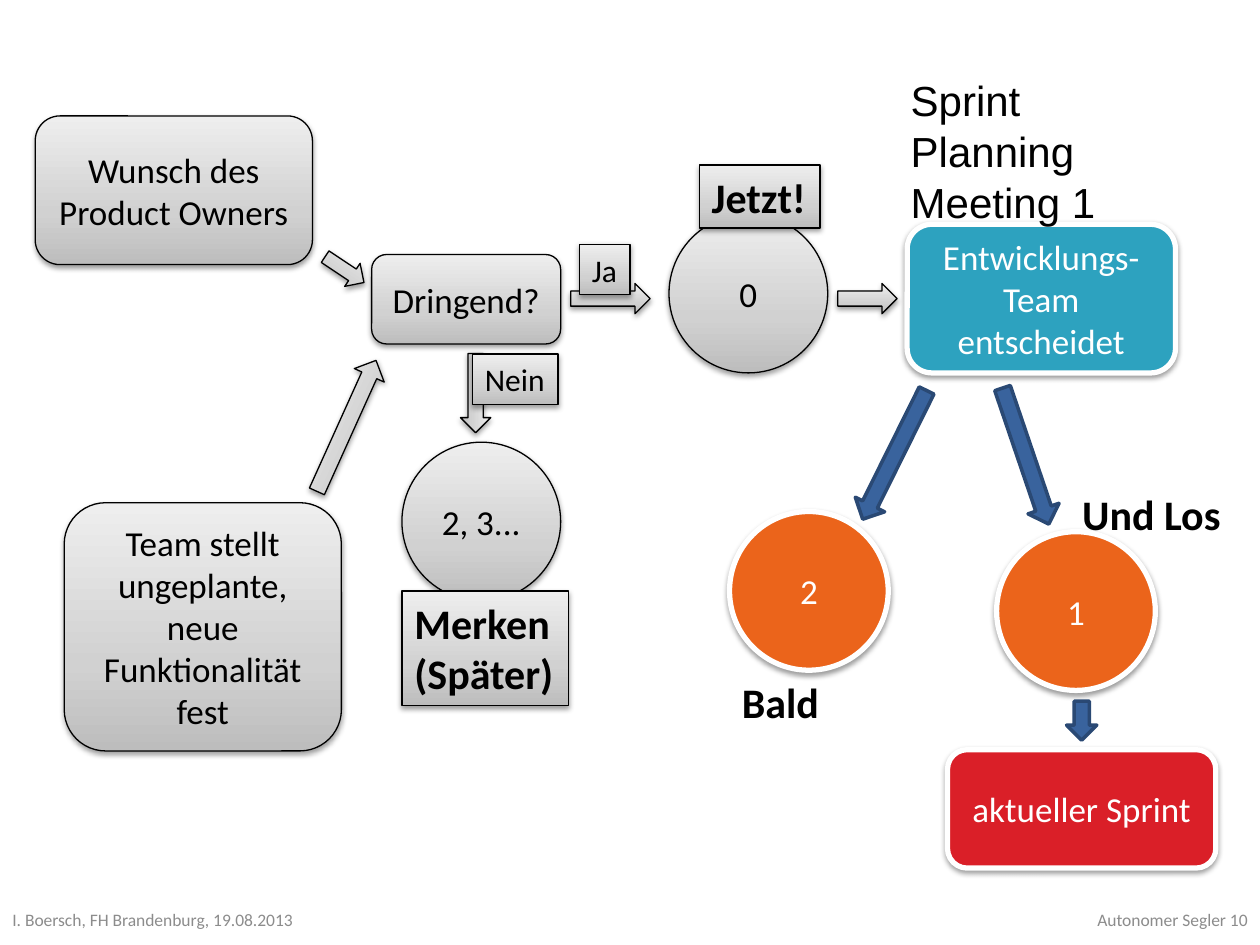
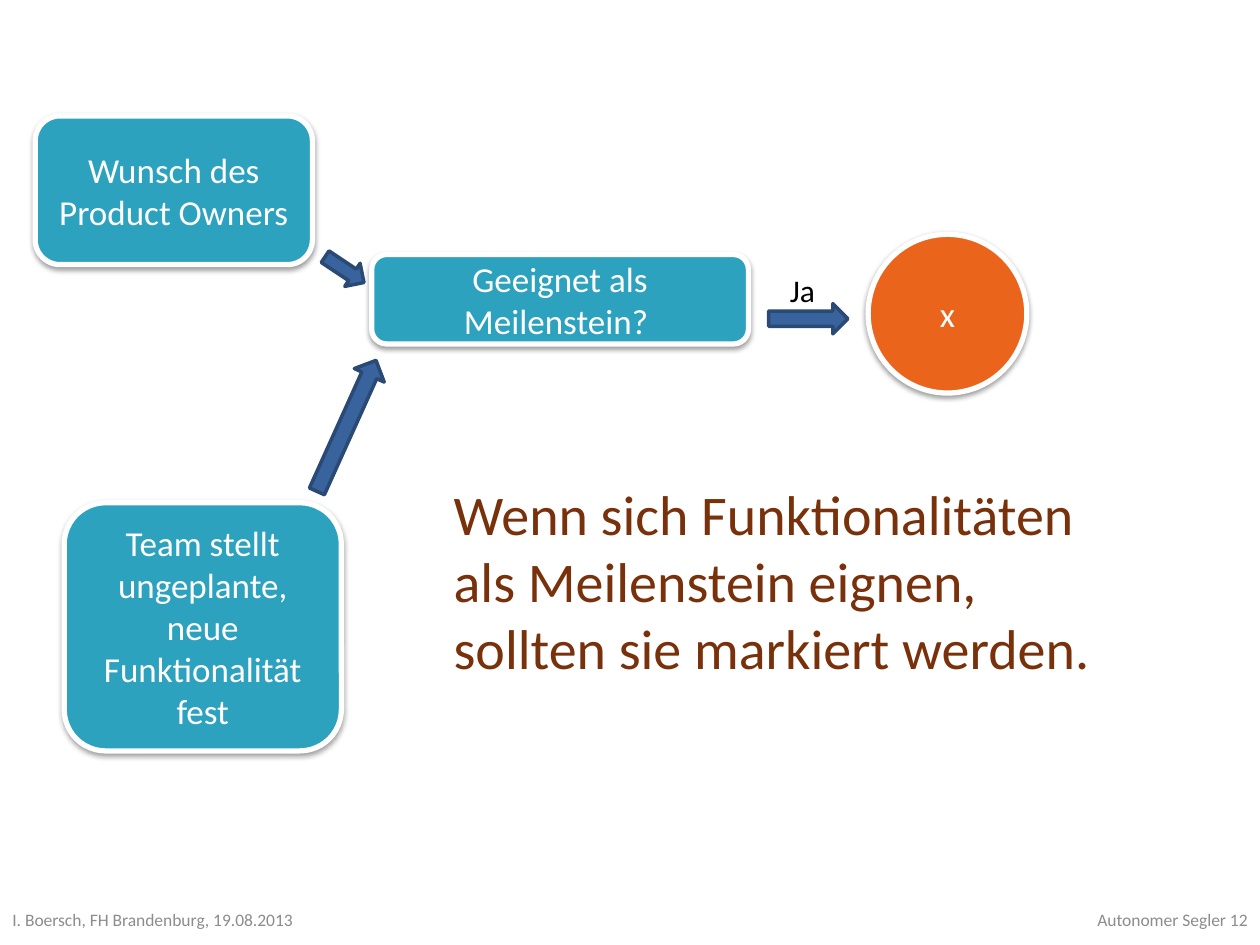
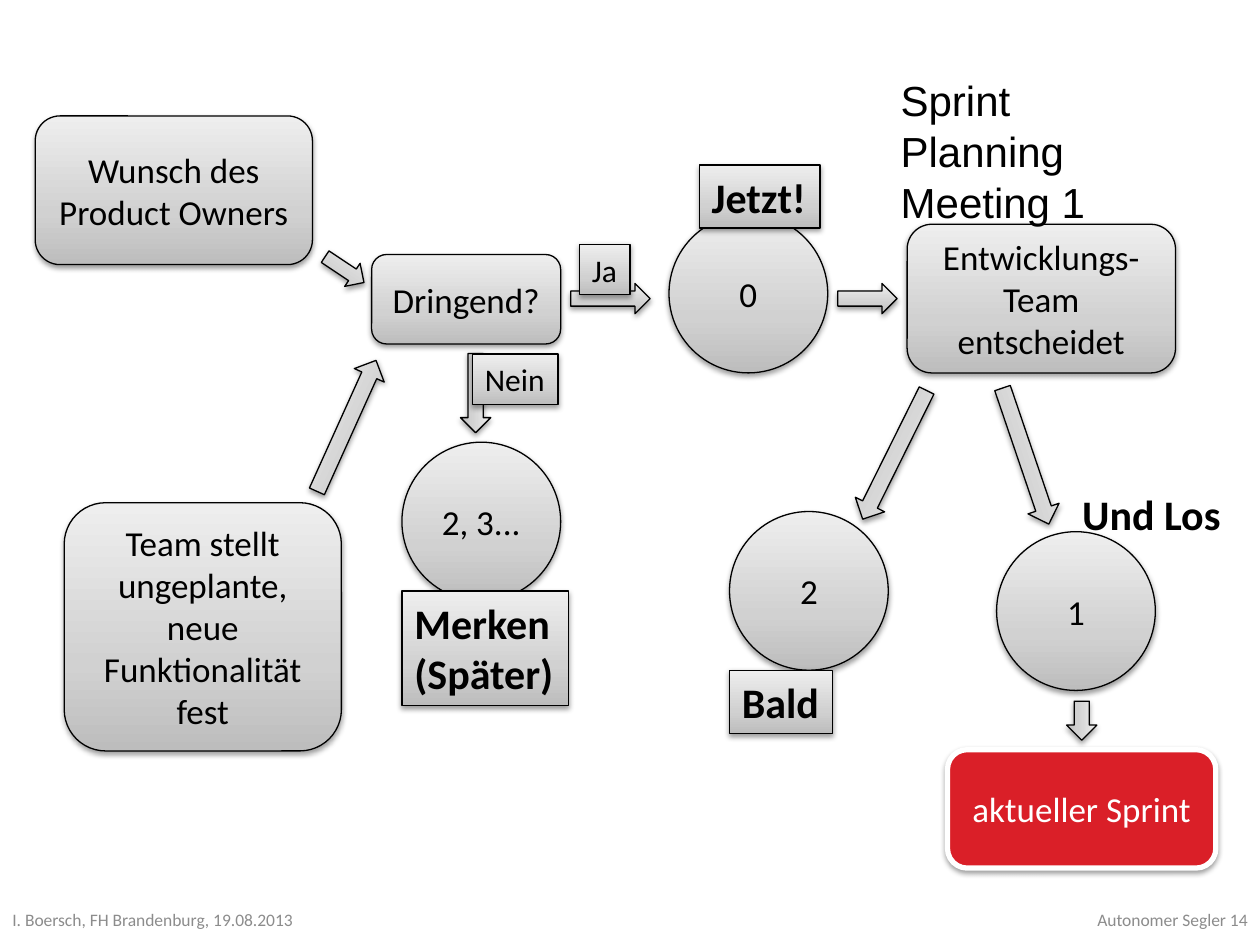
import copy
from dataclasses import dataclass, replace
from typing import Optional

import pptx
import pptx.dml.color
import pptx.enum.shapes
import pptx.enum.text
import pptx.oxml
import pptx.oxml.ns
import pptx.util

FORM = pptx.enum.shapes.MSO_SHAPE
ALIGN = pptx.enum.text.PP_ALIGN
ANCHOR = pptx.enum.text.MSO_ANCHOR
FIT = pptx.enum.text.MSO_AUTO_SIZE
Pt = pptx.util.Pt

# Grid: 100 columns by 75 rows
COLS, ROWS = 100, 75
WIDTH, HEIGHT = pptx.util.Inches(10), pptx.util.Inches(7.5)
Box = tuple[float, float, float, float]


@dataclass(frozen=True)
class Look:
    fill: Optional[str] = None  # None means the grey gradient
    line: str = "000000"
    width: float = 0.75
    ink: str = "000000"
    shadow: bool = True


@dataclass(frozen=True)
class Theme:
    font: str = "Calibri"
    plain: str = "Arial"
    ink: str = "000000"
    muted: str = "8C8C8C"
    brown: str = "78310B"
    foot: float = 10
    note: float = 18
    body: float = 20
    big: float = 24
    head: float = 32
    grey: tuple = ((0, "BDBDBD"), (0.35, "D1D1D1"), (1, "EEEEEE"))


THEME = Theme()
GREY = Look()
TEAL = Look("2DA2BF", "FFFFFF", 3, "FFFFFF")
ORANGE = replace(TEAL, fill="EB641B")
RED = replace(TEAL, fill="DA1F28")
BLUE = Look("39639D", "2A4974", 2, "FFFFFF", False)


@dataclass(frozen=True)
class Node:
    text: str
    box: Box
    look: Look = GREY
    form: FORM = FORM.ROUNDED_RECTANGLE


@dataclass(frozen=True)
class Arrow:
    box: Box
    turn: float = 0
    look: Look = GREY


@dataclass(frozen=True)
class Label:
    text: str
    box: Box
    look: Optional[Look] = GREY  # None means a bare text box
    size: float = THEME.big
    bold: bool = True


def ball(text: str, left: float, top: float, look: Look = GREY) -> Node:
    return Node(text, (left, top, 12.6, 12.6), look, FORM.OVAL)


def place(box: Box) -> list[int]:
    cell = (WIDTH / COLS, HEIGHT / ROWS) * 2
    return [round(part * unit) for part, unit in zip(box, cell)]


def rgb(code: str) -> pptx.dml.color.RGBColor:
    return pptx.dml.color.RGBColor.from_string(code)


def write(shape, text: str, size: float, ink: str = THEME.ink, align=ALIGN.LEFT,
          anchor=ANCHOR.MIDDLE, bold: bool = False, font: str = THEME.font) -> None:
    frame = shape.text_frame
    frame.text = text
    frame.word_wrap = True
    frame.vertical_anchor = anchor
    for para in frame.paragraphs:
        para.alignment = align
        for run in para.runs:
            run.font.name, run.font.size, run.font.bold = font, Pt(size), bold
            run.font.color.rgb = rgb(ink)


def paint(shape, look: Look) -> None:
    props = shape._element.spPr
    if look.fill:
        shape.fill.solid()
        shape.fill.fore_color.rgb = rgb(look.fill)
    else:
        shape.fill.gradient()
        shape.fill.gradient_angle = 90
        stops = props.find(".//" + pptx.oxml.ns.qn("a:gsLst"))
        stops.append(copy.deepcopy(stops[0]))
        for stop, (spot, code) in zip(shape.fill.gradient_stops, THEME.grey):
            stop.position = spot
            stop.color.rgb = rgb(code)
    shape.line.color.rgb = rgb(look.line)
    shape.line.width = Pt(look.width)
    shape.shadow.inherit = False
    if look.shadow:
        props.find(pptx.oxml.ns.qn("a:effectLst")).append(pptx.oxml.parse_xml(
            f'<a:outerShdw {pptx.oxml.ns.nsdecls("a")} blurRad="40000" dist="20000" '
            'dir="5400000" rotWithShape="0"><a:srgbClr val="000000">'
            '<a:alpha val="38000"/></a:srgbClr></a:outerShdw>'))


def draw(slide, part) -> None:
    """Draw a node, an arrow or a label."""
    bare = isinstance(part, Label) and part.look is None
    if bare:
        shape = slide.shapes.add_textbox(*place(part.box))
    else:
        form = {Arrow: FORM.RIGHT_ARROW, Label: FORM.RECTANGLE}.get(type(part))
        shape = slide.shapes.add_shape(form or part.form, *place(part.box))
        paint(shape, part.look)
    if isinstance(part, Arrow):
        shape.rotation = part.turn
    elif isinstance(part, Node):
        write(shape, part.text, THEME.body, part.look.ink, ALIGN.CENTER)
    else:
        write(shape, part.text, part.size, anchor=ANCHOR.TOP, bold=part.bold)
        shape.text_frame.word_wrap = False
        shape.text_frame.auto_size = FIT.SHAPE_TO_FIT_TEXT


def start(deck, layout: int, number: int):
    """Add a slide with its footers."""
    slide = deck.slides.add_slide(deck.slide_layouts[layout])
    for text, left, wide, align in (
            (f"Autonomer Segler {number}", 77.6, 22.4, ALIGN.RIGHT),
            ("I. Boersch, FH Brandenburg, 19.08.2013", 0, 39, ALIGN.LEFT)):
        foot = slide.shapes.add_textbox(*place((left, 71, wide, 4)))
        write(foot, text, THEME.foot, THEME.muted, align)
    return slide


def inputs(node: Look, arrow: Look) -> list:
    """Both sources of wishes with their arrows."""
    return [
        Node("Wunsch des Product Owners", (2.8, 9.2, 22, 11.8), node),
        Node("Team stellt ungeplante, neue Funktionalität fest",
             (5.1, 39.9, 22, 19.7), node),
        Arrow((25.5, 20.3, 3.7, 2.2), 33.6, arrow),
        Arrow((21.8, 32.5, 11.4, 2.6), 294.3, arrow),
    ]


def flow(deck, number: int, team: Look, goal: Look, step: Look,
         soon: Optional[Look], left: float) -> None:
    """Urgency flow; the looks set which part stands out."""
    slide = start(deck, 6, number)
    parts = inputs(GREY, GREY) + [
        # Stations
        Node("Dringend?", (29.5, 20.2, 15, 7.1)),
        ball("0", 53.1, 17),
        Node("Entwicklungs-Team\nentscheidet", (72, 17.8, 21.3, 11.8), team),
        ball("1", 79.1, 42.2, goal),
        ball("2", 57.9, 40.6, goal),
        ball("2, 3...", 31.9, 35.1),
        Node("aktueller Sprint", (75.2, 59.5, 21.3, 9.4), RED),
        # Arrows
        Arrow((45.3, 22.5, 6.3, 2.4)),
        Arrow((34.6, 30, 6.3, 2.4), 90),
        Arrow((66.5, 22.5, 4.7, 2.4)),
        Arrow((65.3, 34.8, 11.4, 2.6), 116.4, step),
        Arrow((75.7, 34.9, 11.4, 2.6), 71.2, step),
        Arrow((84.3, 56, 3.1, 2.4), 90, step),
        # Labels
        Label("Merken\n(Später)", (31.9, 46.9, 13.2, 9.1)),
        Label("Jetzt!", (55.5, 13.1, 9.6, 5)),
        Label("Bald", (57.9, 53.2, 8.2, 5), soon),
        Label("Und Los", (84.9, 38.3, 13.2, 5), None),
        Label("Ja", (46, 19.4, 4, 4), GREY, THEME.note, False),
        Label("Nein", (37.5, 28.1, 6.8, 4), GREY, THEME.note, False),
    ]
    for part in parts:
        draw(slide, part)
    # Meeting caption
    shape = slide.shapes.add_textbox(*place((left, 5.4, 24.4, 17.2)))
    write(shape, "Sprint Planning Meeting 1", THEME.big, anchor=ANCHOR.TOP,
          font=THEME.plain)
    shape.text_frame.paragraphs[0].line_spacing = Pt(29)


def mark(deck, number: int) -> None:
    """Milestone check."""
    slide = start(deck, 5, number)
    parts = inputs(TEAL, BLUE) + [
        Node("Geeignet als Meilenstein? ", (29.5, 20.2, 29.9, 7.1), TEAL),
        ball("x", 68.9, 18.6, ORANGE),
        Arrow((61, 24.1, 6.3, 2.4), 0, BLUE),
        Label("Ja", (61.7, 21, 4, 4), None, THEME.note, False),
    ]
    for part in parts:
        draw(slide, part)
    title = slide.shapes.title
    title.left, title.top, title.width, title.height = place((35, 40.6, 53.5, 10.9))
    write(title, "Wenn sich Funktionalitäten als Meilenstein eignen, "
          "sollten sie markiert werden.", THEME.head, THEME.brown)
    title.text_frame.auto_size = FIT.NONE


def main() -> None:
    deck = pptx.Presentation()
    deck.slide_width, deck.slide_height = WIDTH, HEIGHT
    flow(deck, 10, TEAL, ORANGE, BLUE, None, 71.3)
    mark(deck, 12)
    flow(deck, 14, GREY, GREY, GREY, GREY, 70.5)
    deck.save("out.pptx")


if __name__ == "__main__":
    main()
